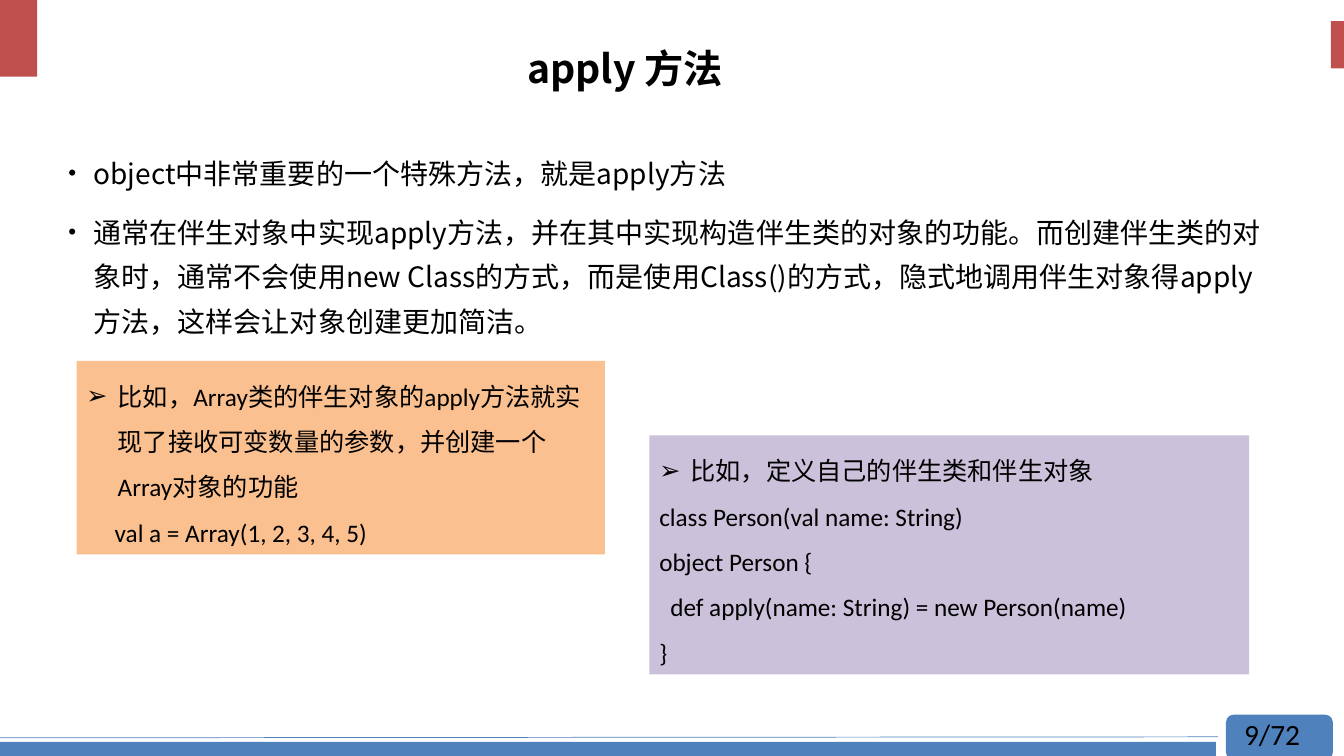
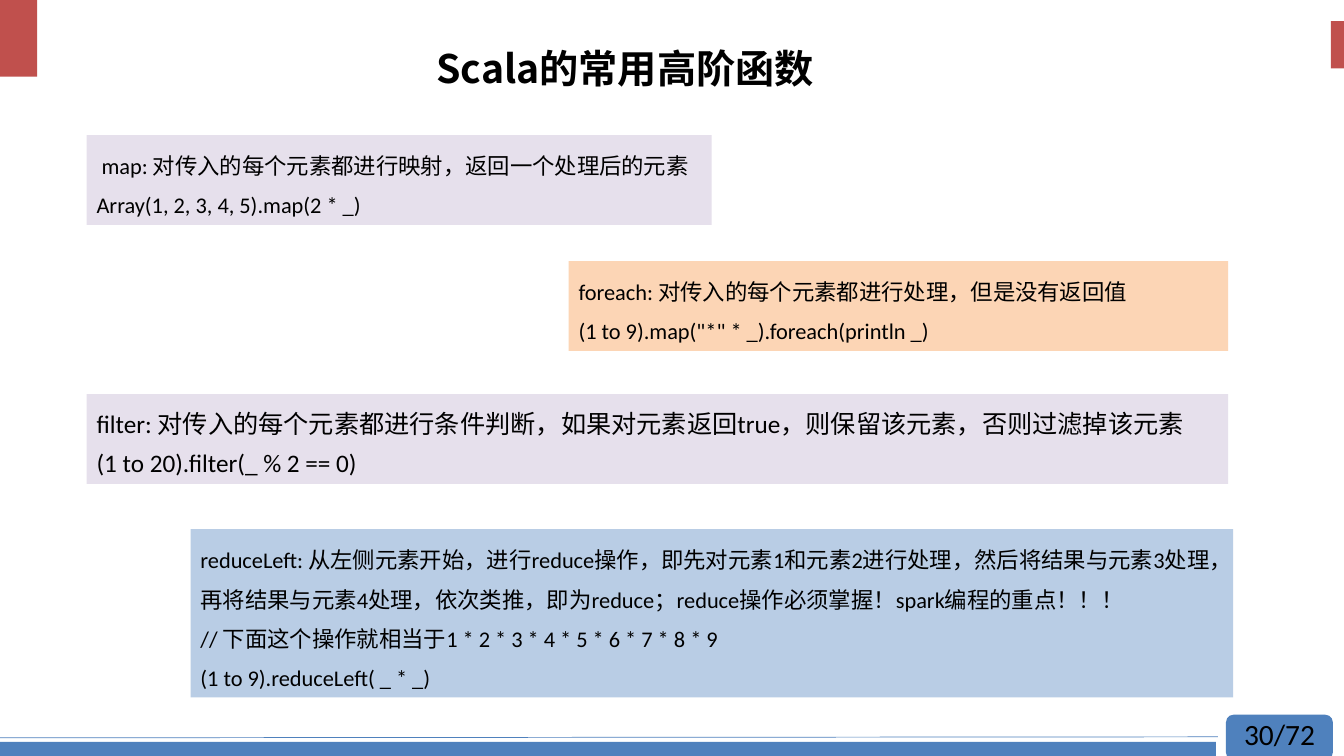
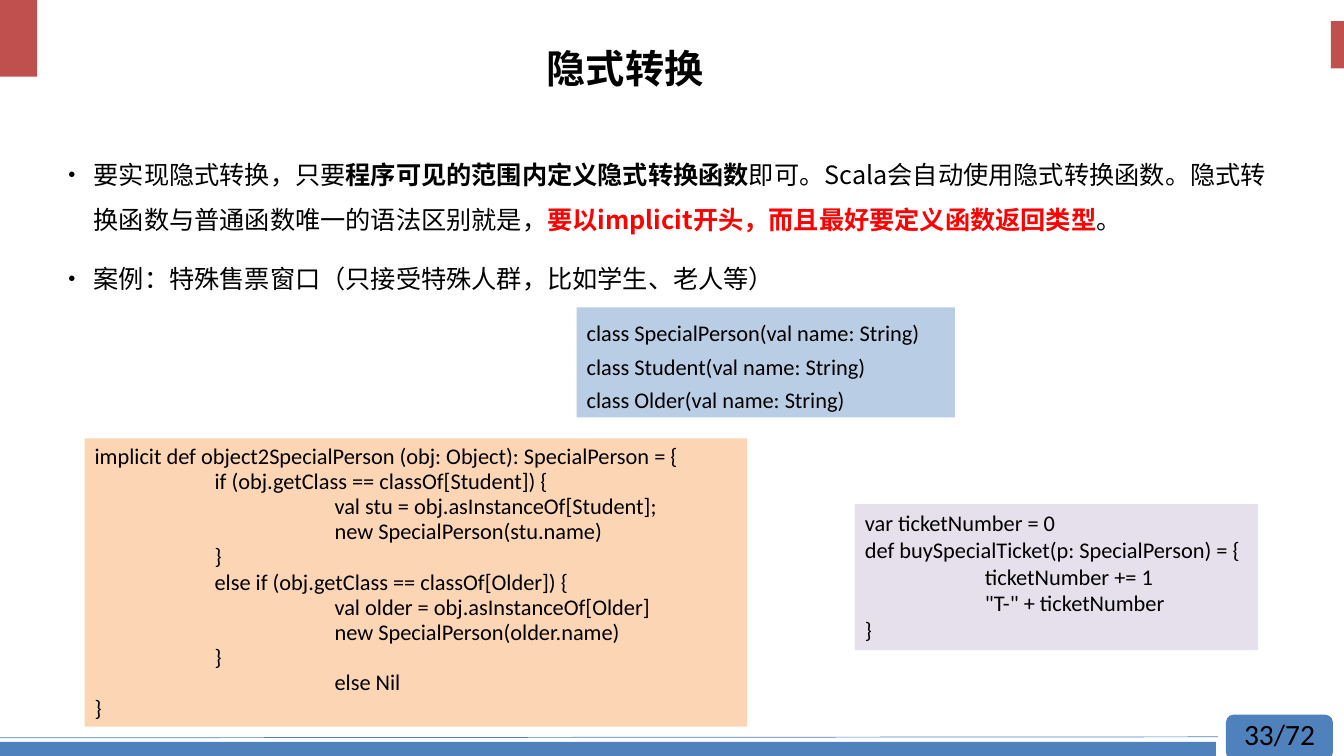
from dataclasses import dataclass

from lxml import etree
from pptx import Presentation
from pptx.dml.color import RGBColor
from pptx.enum.shapes import MSO_CONNECTOR, MSO_SHAPE
from pptx.enum.text import MSO_ANCHOR, PP_ALIGN
from pptx.oxml.ns import qn
from pptx.util import Inches, Pt

RECT = MSO_SHAPE.RECTANGLE
PILL = MSO_SHAPE.FLOWCHART_ALTERNATE_PROCESS
STRAIGHT = MSO_CONNECTOR.STRAIGHT
TOP, MIDDLE = MSO_ANCHOR.TOP, MSO_ANCHOR.MIDDLE
LEFT, CENTER = PP_ALIGN.LEFT, PP_ALIGN.CENTER


@dataclass(frozen=True)
class Theme:
    # Colours
    ink: str = "000000"
    alert: str = "FF0000"
    red: str = "C0504D"
    blue: str = "4F81BD"
    sky: str = "B9CDE5"
    orange: str = "FAC090"
    peach: str = "FCD5B5"
    purple: str = "CCC1DA"
    lilac: str = "E6E0EC"
    # Fonts and type sizes
    sans: str = "Noto Sans CJK SC"
    code: str = "Calibri"
    title: int = 28
    page: int = 21
    large: int = 20
    mid: int = 18
    small: int = 16
    # One code indent, in inches
    tab: float = 1.19


THEME = Theme()
TOTAL = 72


def color(value):
    return RGBColor.from_string(value)


def place(box):
    return [Inches(n) for n in box]


# Text
def bullet(para, mark, size):
    props = para._p.get_or_add_pPr()
    for tag, key, value in (
        ("a:buSzPct", "val", str(size * 1000)),
        ("a:buFont", "typeface", "Arial"),
        ("a:buChar", "char", mark),
    ):
        etree.SubElement(props, qn(tag)).set(key, value)


def add_run(para, text, size, font, bold=False, ink=THEME.ink):
    run = para.add_run()
    run.text = text
    run.font.size = Pt(size)
    run.font.name = font
    run.font.bold = bold
    run.font.color.rgb = color(ink)
    asian = etree.Element(qn("a:ea"), typeface=THEME.sans)
    run._r.rPr.find(qn("a:latin")).addnext(asian)


def write(shape, lines, size=THEME.small, font=THEME.code, bold=False,
          align=LEFT, anchor=TOP, **shared):
    """Each line is a text, a list of (text, format) runs, or (line, layout)."""
    frame = shape.text_frame
    frame.word_wrap = True
    frame.vertical_anchor = anchor
    for i, line in enumerate(lines):
        line, own = line if isinstance(line, tuple) else (line, {})
        look = {**shared, **own}
        para = frame.paragraphs[0] if i == 0 else frame.add_paragraph()
        para.alignment = align
        para.line_spacing = look.get("space")
        para.space_before = Pt(look.get("before", 0))
        hang = look.get("hang", 0)
        props = para._p.get_or_add_pPr()
        props.set("marL", str(Inches(look.get("indent", 0) + hang)))
        props.set("indent", str(Inches(-hang)))
        if "mark" in look:
            bullet(para, look["mark"], look.get("scale", 100))
        runs = [(line, {})] if isinstance(line, str) else line
        for text, style in runs:
            add_run(para, text, size, font, **{"bold": bold, **style})


def label(slide, box, lines, **look):
    write(slide.shapes.add_textbox(*place(box)), lines, **look)


def points(slide, lines, size):
    label(slide, (0.58, 1.39, 12.22, 5.46), lines, size=size, font=THEME.sans,
          space=Pt(32), before=10, hang=0.25, mark="•", scale=80)


def inset(text, steps=1):
    return text, {"indent": steps * THEME.tab}


def arrow(text):
    return text, {"hang": 0.31, "mark": "➢"}


# Shapes
def block(slide, box, fill, kind=RECT):
    shape = slide.shapes.add_shape(kind, *place(box))
    shape.shadow.inherit = False
    shape.fill.solid()
    shape.fill.fore_color.rgb = color(fill)
    shape.line.fill.background()
    return shape


def panel(slide, box, fill, lines, **look):
    write(block(slide, box, fill), lines, **look)


def rule(slide, start, end):
    line = slide.shapes.add_connector(STRAIGHT, *place(start + end))
    line.line.color.rgb = color(THEME.blue)
    line.line.width = Pt(0.5)
    etree.SubElement(line._element.spPr, qn("a:effectLst"))


# Shared frame: corner tabs, footer band, page number and title
def new_slide(deck, title, page):
    slide = deck.slides.add_slide(deck.slide_layouts[6])
    block(slide, (0, 0, 0.37, 0.76), THEME.red)
    block(slide, (13.2, 0.21, 0.13, 0.47), THEME.red)
    block(slide, (0, 7.36, 12.06, 0.19), THEME.blue)
    block(slide, (12.16, 7.09, 1.06, 0.45), THEME.blue, PILL)
    rule(slide, (-0.03, 7.32), (12.08, 7.31))
    label(slide, (12.24, 7.05, 1.02, 0.45), [f"{page}/{TOTAL}"],
          size=THEME.page)
    label(slide, (1.7, 0.29, 9, 0.82), [title], size=THEME.title,
          font=THEME.sans, bold=True, align=CENTER, anchor=MIDDLE, space=0.9)
    return slide


# Slides
def apply_slide(deck):
    slide = new_slide(deck, "apply 方法", 9)
    points(slide, [
        "object中非常重要的一个特殊方法，就是apply方法",
        "通常在伴生对象中实现apply方法，并在其中实现构造伴生类的对象的功能。"
        "而创建伴生类的对象时，通常不会使用new Class的方式，而是使用Class()的方式，"
        "隐式地调用伴生对象得apply方法，这样会让对象创建更加简洁。",
    ], THEME.large)
    panel(slide, (0.76, 3.58, 5.24, 1.92), THEME.orange, [
        arrow("比如，Array类的伴生对象的apply方法就实现了接收可变数量的参数，"
              "并创建一个Array对象的功能"),
        ("val a = Array(1, 2, 3, 4, 5)", {"indent": 0.28}),
    ], size=THEME.mid, space=1.5)
    panel(slide, (6.44, 4.32, 5.95, 2.37), THEME.purple, [
        arrow("比如，定义自己的伴生类和伴生对象"),
        "class Person(val name: String)",
        "object Person {",
        ("def apply(name: String) = new Person(name)", {"indent": 0.11}),
        "}",
    ], size=THEME.mid, space=1.5)


def higher_slide(deck):
    slide = new_slide(deck, "Scala的常用高阶函数", 30)
    space = Pt(28)
    panel(slide, (0.86, 1.34, 6.2, 0.89), THEME.lilac, [
        ("map: 对传入的每个元素都进行映射，返回一个处理后的元素",
         {"indent": 0.05}),
        "Array(1, 2, 3, 4, 5).map(2 * _)",
    ], space=space)
    panel(slide, (5.64, 2.59, 6.54, 0.89), THEME.peach, [
        "foreach: 对传入的每个元素都进行处理，但是没有返回值",
        '(1 to 9).map("*" * _).foreach(println _)',
    ], space=space)
    panel(slide, (0.86, 3.91, 11.32, 0.89), THEME.lilac, [
        "filter: 对传入的每个元素都进行条件判断，如果对元素返回true，"
        "则保留该元素，否则过滤掉该元素",
        "(1 to 20).filter(_ % 2 == 0)",
    ], size=THEME.mid, space=space)
    panel(slide, (1.89, 5.25, 10.34, 1.67), THEME.sky, [
        "reduceLeft: 从左侧元素开始，进行reduce操作，即先对元素1和元素2进行处理，"
        "然后将结果与元素3处理，再将结果与元素4处理，依次类推，即为reduce；"
        "reduce操作必须掌握！spark编程的重点！！！",
        "// 下面这个操作就相当于1 * 2 * 3 * 4 * 5 * 6 * 7 * 8 * 9",
        "(1 to 9).reduceLeft( _ * _)",
    ], space=space)


def implicit_slide(deck):
    slide = new_slide(deck, "隐式转换", 33)
    points(slide, [
        [
            ("要实现隐式转换，只要", {}),
            ("程序可见的范围内定义隐式转换函数", {"bold": True}),
            ("即可。Scala会自动使用隐式转换函数。"
             "隐式转换函数与普通函数唯一的语法区别就是，", {}),
            ("要以implicit开头，而且最好要定义函数返回类型",
             {"bold": True, "ink": THEME.alert}),
            ("。", {}),
        ],
        "案例：特殊售票窗口（只接受特殊人群，比如学生、老人等）",
    ], THEME.mid)
    panel(slide, (5.72, 3.05, 3.75, 1.09), THEME.sky, [
        f"class {name}(val name: String)"
        for name in ("SpecialPerson", "Student", "Older")
    ], space=Pt(24))
    panel(slide, (0.84, 4.35, 6.57, 2.86), THEME.peach, [
        "implicit def object2SpecialPerson (obj: Object): SpecialPerson = {",
        inset("if (obj.getClass == classOf[Student]) {"),
        inset("val stu = obj.asInstanceOf[Student];", 2),
        inset("new SpecialPerson(stu.name)", 2),
        inset("}"),
        inset("else if (obj.getClass == classOf[Older]) {"),
        inset("val older = obj.asInstanceOf[Older]", 2),
        inset("new SpecialPerson(older.name)", 2),
        inset("}"),
        inset("else Nil", 2),
        "}",
    ], space=Pt(18))
    panel(slide, (8.48, 5, 4, 1.45), THEME.lilac, [
        "var ticketNumber = 0",
        "def buySpecialTicket(p: SpecialPerson) = {",
        inset("ticketNumber += 1"),
        inset('"T-" + ticketNumber'),
        "}",
    ])


def main():
    deck = Presentation()
    deck.slide_width, deck.slide_height = Inches(13.33), Inches(7.5)
    apply_slide(deck)
    higher_slide(deck)
    implicit_slide(deck)
    deck.save("out.pptx")


if __name__ == "__main__":
    main()
